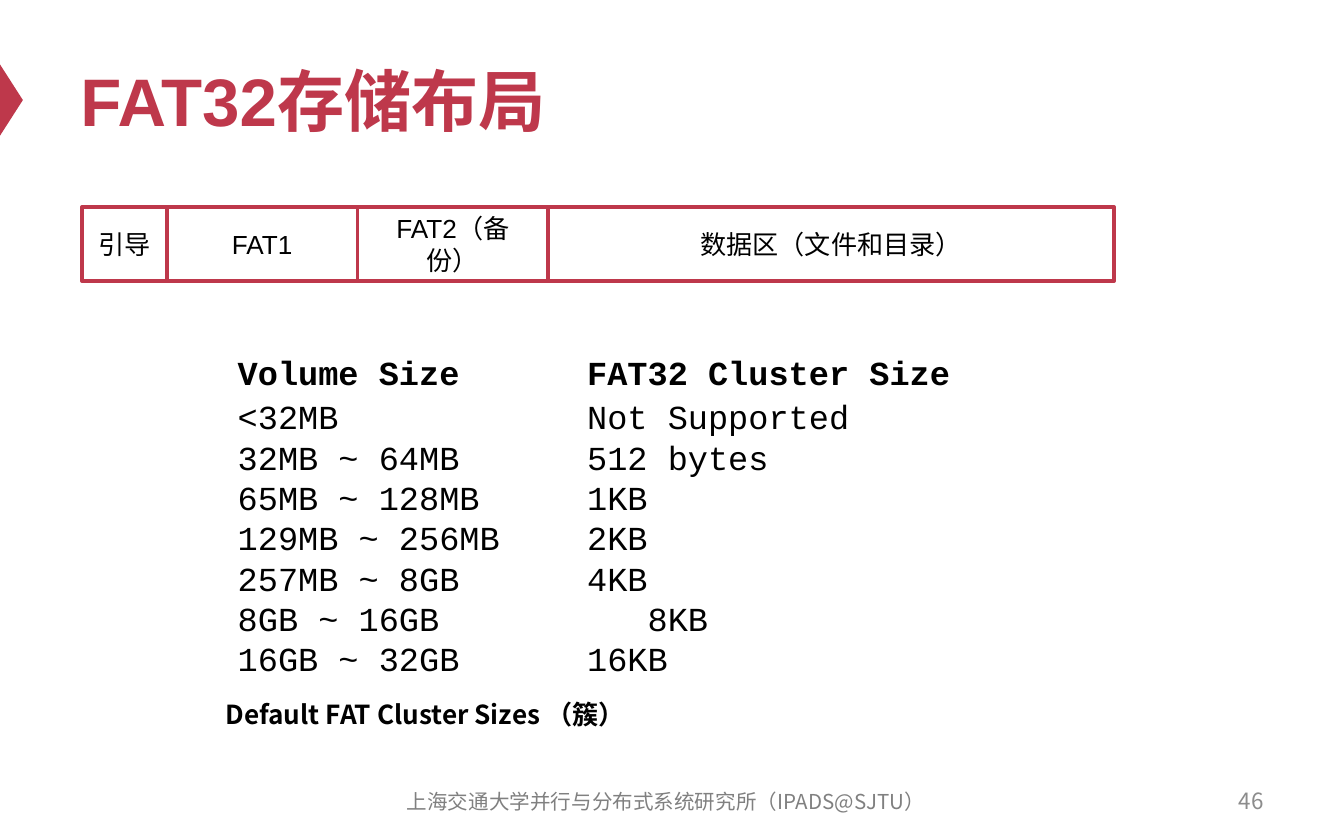
from lxml.etree import SubElement
from pptx import Presentation
from pptx.dml.color import RGBColor
from pptx.enum.shapes import MSO_SHAPE
from pptx.enum.text import MSO_ANCHOR, PP_ALIGN
from pptx.oxml.ns import qn
from pptx.util import Inches, Pt

COLORS = {
    "red": "BE384B",
    "white": "FFFFFF",
    "black": "000000",
    "footer": "808080",
    "number": "8C8C8C",
}
CJK_FONT = "Noto Sans CJK SC"
MONO_FONT = "Courier New"

presentation = Presentation()
presentation.slide_width = Inches(10)
presentation.slide_height = Inches(6.25)
slide = presentation.slides.add_slide(presentation.slide_layouts[6])


def share(left, top, width, height):
    across = presentation.slide_width / 100
    down = presentation.slide_height / 100
    return [round(length) for length in (left * across, top * down, width * across, height * down)]


def write(shape, lines, font, size, color="black", bold=False, align=PP_ALIGN.LEFT,
          anchor=MSO_ANCHOR.TOP, tab=None):
    frame = shape.text_frame
    frame.word_wrap = True
    frame.vertical_anchor = anchor
    for index, line in enumerate(lines):
        paragraph = frame.add_paragraph() if index else frame.paragraphs[0]
        paragraph.alignment = align
        if tab:
            indent = 4.5 if line.endswith("\t8KB") else 0
            tabs = SubElement(paragraph._p.get_or_add_pPr(), qn("a:tabLst"))
            position = round((tab + indent) * presentation.slide_width / 100)
            SubElement(tabs, qn("a:tab"), pos=str(position), algn="l")
        run = paragraph.add_run()
        run.text = line
        run.font.name = font
        run.font.size = Pt(size)
        run.font.bold = bold
        run.font.color.rgb = RGBColor.from_string(COLORS[color])
        SubElement(run._r.get_or_add_rPr(), qn("a:ea"), typeface=CJK_FONT)


marker = slide.shapes.add_shape(MSO_SHAPE.ISOSCELES_TRIANGLE, *share(-1.8, 10.56, 5.3, 2.72))
marker.rotation = 90
marker.shadow.inherit = False
marker.fill.solid()
marker.fill.fore_color.rgb = RGBColor.from_string(COLORS["red"])
marker.line.fill.background()

title = slide.shapes.add_textbox(*share(5, 4, 90, 15.68))
write(title, ["FAT32存储布局"], "Arial", 36, "red", True, anchor=MSO_ANCHOR.MIDDLE)

page_number = slide.shapes.add_textbox(*share(71.7, 92.64, 23.3, 5.28))
write(page_number, ["46"], CJK_FONT, 12, "number", align=PP_ALIGN.RIGHT, anchor=MSO_ANCHOR.MIDDLE)

footer = slide.shapes.add_textbox(*share(27.9, 92.8, 43.3, 5.28))
write(footer, ["上海交通大学并行与分布式系统研究所（IPADS@SJTU）"], CJK_FONT, 11, "footer",
      align=PP_ALIGN.CENTER, anchor=MSO_ANCHOR.MIDDLE)

regions = [
    ("引导", 6.3),
    ("FAT1", 14.2),
    ("FAT2（备份）", 14.2),
    ("数据区（文件和目录）", 42.1),
]
region_left = 6.1
for label, width in regions:
    region = slide.shapes.add_shape(MSO_SHAPE.RECTANGLE, *share(region_left, 24.64, width, 8.8))
    region.shadow.inherit = False
    region.fill.solid()
    region.fill.fore_color.rgb = RGBColor.from_string(COLORS["white"])
    region.line.color.rgb = RGBColor.from_string(COLORS["red"])
    region.line.width = Pt(2)
    write(region, [label], "Arial", 14, align=PP_ALIGN.CENTER, anchor=MSO_ANCHOR.MIDDLE)
    region_left += width

caption = slide.shapes.add_textbox(*share(15.8, 82.4, 50.8, 5.44))
write(caption, ["Default FAT Cluster Sizes （簇）"], CJK_FONT, 14, bold=True)

cluster_sizes = [
    ("<32MB", "Not Supported"),
    ("32MB ~ 64MB", "512 bytes"),
    ("65MB ~ 128MB", "1KB"),
    ("129MB ~ 256MB", "2KB"),
    ("257MB ~ 8GB", "4KB"),
    ("8GB ~ 16GB", "8KB"),
    ("16GB ~ 32GB", "16KB"),
]
header = slide.shapes.add_textbox(*share(16.7, 41.12, 64.2, 6.4))
write(header, ["Volume Size\tFAT32 Cluster Size"], MONO_FONT, 18, bold=True, tab=26)

size_list = slide.shapes.add_textbox(*share(16.7, 46.4, 64.2, 35.52))
write(size_list, ["\t".join(row) for row in cluster_sizes], MONO_FONT, 18, tab=26)

presentation.save("out.pptx")
